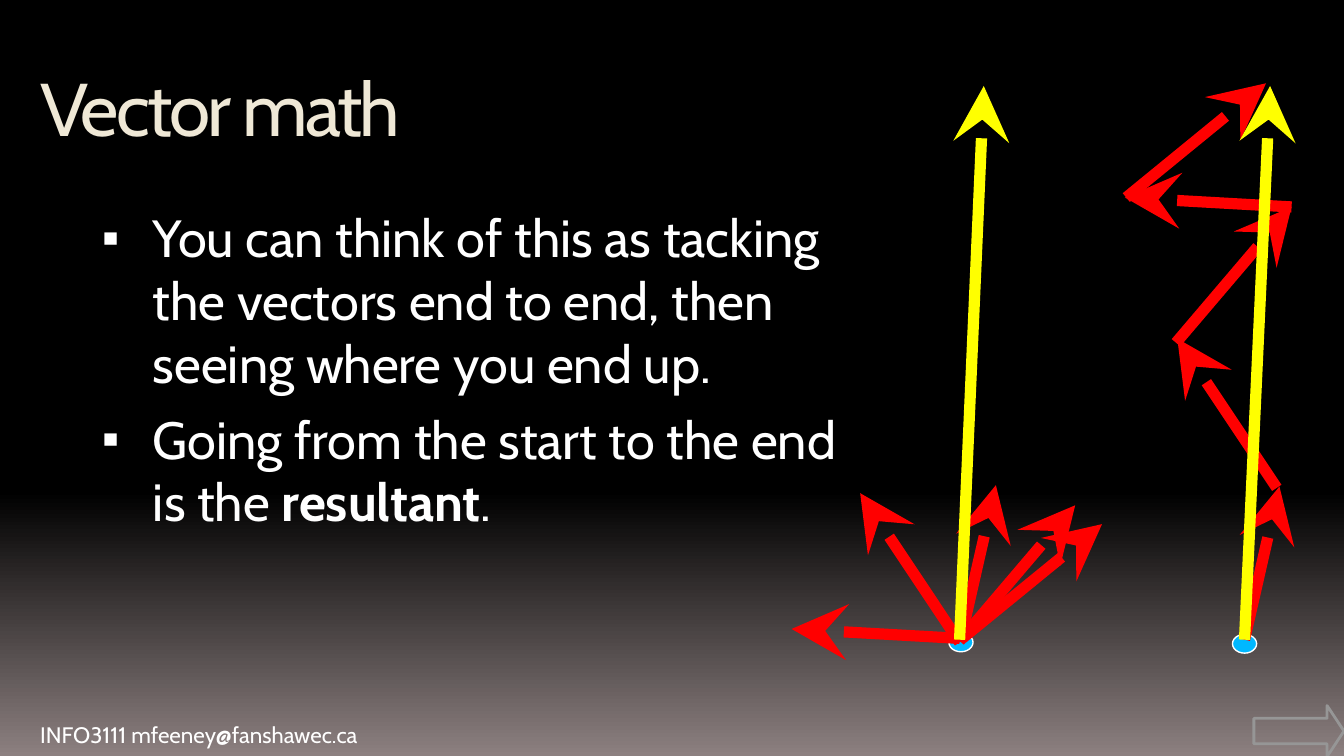
from pptx import Presentation
from pptx.dml.color import RGBColor
from pptx.enum.shapes import MSO_CONNECTOR, MSO_SHAPE
from pptx.enum.text import MSO_ANCHOR
from pptx.oxml.ns import qn
from pptx.util import Inches, Pt
from lxml.etree import SubElement

RED, YELLOW, WHITE = "FF0000", "FFFF00", "FFFFFF"

CHAIN = [
    (8.75, 2.55, 9.61, 1.54),
    (9.5, 3.63, 8.76, 2.52),
    (9.26, 4.76, 9.52, 3.62),
    (9.61, 1.54, 8.37, 1.47),
    (8.38, 1.47, 9.42, 0.62),
]
FAN = [
    (7.14, 4.77, 8, 3.76),
    (7.14, 4.78, 6.4, 3.67),
    (7.15, 4.75, 7.41, 3.61),
    (7.14, 4.75, 5.89, 4.68),
    (7.16, 4.75, 8.2, 3.9),
]
POINTS = [
    [("You can think of this as tacking the vectors end to end, "
      "then seeing where you end up.", False)],
    [("Going from the start to the end is the ", False),
     ("resultant", True), (".", False)],
]


def color(code):
    return RGBColor.from_string(code)


def paint(slide):
    fill = slide.background.fill
    fill.gradient()
    fill.gradient_angle = 270
    for stop, place, code in zip(fill.gradient_stops, (0.65, 1), ("000000", "8C8080")):
        stop.position = place
        stop.color.rgb = color(code)


def bullet(para):
    props = para._p.get_or_add_pPr()
    props.set("marL", str(Inches(0.45)))
    props.set("indent", str(Inches(-0.38)))
    SubElement(props, qn("a:buSzPct"), val="95000")
    SubElement(props, qn("a:buFont"), typeface="Arial")
    SubElement(props, qn("a:buChar"), char="▪")


def write(slide, box, paras, size=12, code=WHITE, track=None,
          anchor=MSO_ANCHOR.TOP, marks=False, gap=0):
    frame = slide.shapes.add_textbox(*map(Inches, box)).text_frame
    frame.word_wrap = True
    frame.vertical_anchor = anchor
    for i, runs in enumerate(paras):
        para = frame.add_paragraph() if i else frame.paragraphs[0]
        if i and gap:
            para.space_before = Pt(gap)
        if marks:
            bullet(para)
        for text, bold in runs:
            run = para.add_run()
            run.text = text
            font = run.font
            font.name, font.size, font.bold = "Cabin", Pt(size), bold
            font.color.rgb = color(code)
            if track:
                run._r.get_or_add_rPr().set("spc", str(int(track * 100)))


def shape(slide, kind, box, line, width, fill=None):
    item = slide.shapes.add_shape(kind, *map(Inches, box))
    item.shadow.inherit = False
    if fill:
        item.fill.solid()
        item.fill.fore_color.rgb = color(fill)
    else:
        item.fill.background()
    item.line.color.rgb = color(line)
    item.line.width = Pt(width)
    return item


def arrow(slide, ends, code):
    item = slide.shapes.add_connector(MSO_CONNECTOR.STRAIGHT, *map(Inches, ends))
    item.line.color.rgb = color(code)
    item.line.width = Pt(6)
    SubElement(item.line._get_or_add_ln(), qn("a:tailEnd"),
               type="stealth", w="lg", len="lg")
    SubElement(item._element.spPr, qn("a:effectLst"))


def vectors(slide, dot, steps, total):
    shape(slide, MSO_SHAPE.OVAL, (*dot, 0.18, 0.14), WHITE, 0.75, fill="00B8FF")
    for ends in steps:
        arrow(slide, ends, RED)
    arrow(slide, total, YELLOW)


def main():
    deck = Presentation()
    deck.slide_width, deck.slide_height = Inches(10), Inches(10 * 9 / 16)
    slide = deck.slides.add_slide(deck.slide_layouts[6])
    paint(slide)
    write(slide, (0.2, 5.32, 4.09, 0.3), [[("INFO3111 mfeeney@fanshawec.ca", False)]])
    write(slide, (0.2, 0.42, 9.3, 0.75), [[("Vector math", False)]], size=40,
          code="EFE8D6", track=-1.5, anchor=MSO_ANCHOR.MIDDLE)
    write(slide, (0.59, 1.48, 5.73, 3.53), POINTS, size=28, marks=True, gap=7)
    button = shape(slide, MSO_SHAPE.RIGHT_ARROW, (9.33, 5.25, 0.67, 0.38), "969696", 1.5)
    button.adjustments[1] = 0.33
    vectors(slide, (9.17, 4.72), CHAIN, (9.26, 4.76, 9.45, 0.64))
    vectors(slide, (7.06, 4.71), FAN, (7.14, 4.76, 7.32, 0.64))
    deck.save("out.pptx")


if __name__ == "__main__":
    main()
